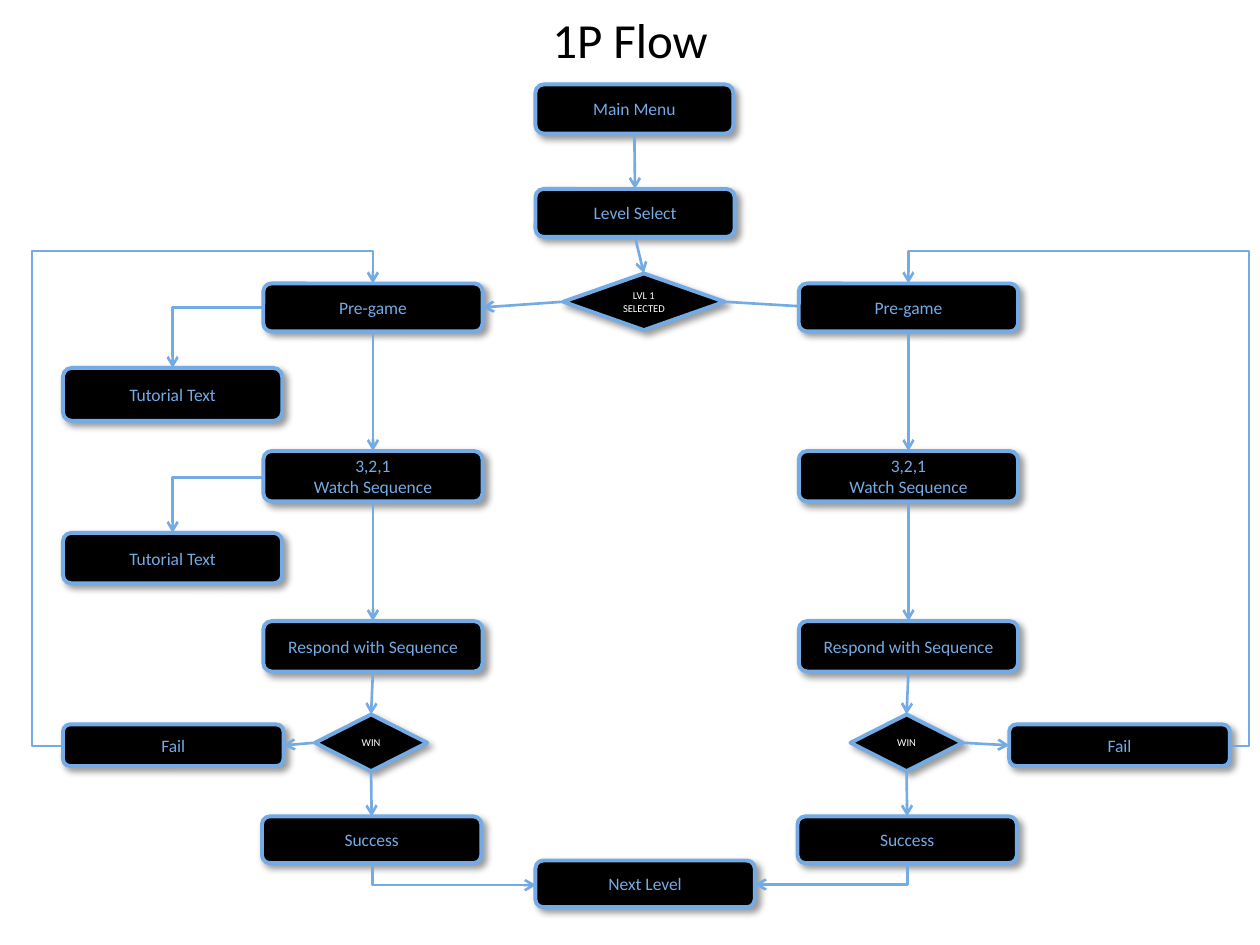
import lxml.etree
import pptx
import pptx.dml.color
import pptx.enum.shapes
import pptx.enum.text
import pptx.oxml.ns
import pptx.util

BLACK, BLUE, WHITE = "000000", "74ABE5", "FFFFFF"
ROUND = pptx.enum.shapes.MSO_SHAPE.ROUNDED_RECTANGLE
DIAMOND = pptx.enum.shapes.MSO_SHAPE.DIAMOND
STRAIGHT = pptx.enum.shapes.MSO_CONNECTOR.STRAIGHT
ELBOW = pptx.enum.shapes.MSO_CONNECTOR.ELBOW
TOP, LEFT, BOTTOM, RIGHT = range(4)
qn = pptx.oxml.ns.qn
rgb = pptx.dml.color.RGBColor.from_string

prs = pptx.Presentation()
prs.slide_width = pptx.util.Inches(10)
prs.slide_height = pptx.util.Inches(7.5)
col = prs.slide_width / 100
row = prs.slide_height / 75
s = prs.slides.add_slide(prs.slide_layouts[6])


def write(sp, text, size, color):
    tf = sp.text_frame
    frame = {"word_wrap": True, "vertical_anchor": pptx.enum.text.MSO_ANCHOR.MIDDLE}
    for key, value in frame.items():
        setattr(tf, key, value)
    for i, line in enumerate(text.split("\n")):
        p = tf.paragraphs[0] if i == 0 else tf.add_paragraph()
        p.alignment = pptx.enum.text.PP_ALIGN.CENTER
        r = p.add_run()
        r.text = line
        for key, value in {"name": "Calibri", "size": pptx.util.Pt(size)}.items():
            setattr(r.font, key, value)
        r.font.color.rgb = rgb(color)


def arrow(kind, x1, y1, x2, y2):
    c = s.shapes.add_connector(
        kind, int(x1 * col), int(y1 * row), int(x2 * col), int(y2 * row))
    c.line.color.rgb = rgb(BLUE)
    c.line.width = pptx.util.Pt(1.5)
    spPr = c._element.spPr
    lxml.etree.SubElement(spPr.find(qn("a:ln")), qn("a:tailEnd"), type="arrow")
    lxml.etree.SubElement(spPr, qn("a:effectLst"))
    return c


title = s.shapes.add_textbox(0, 0, prs.slide_width, int(6.2 * row))
write(title, "1P Flow", 28, BLACK)

center = [
    ("menu", ROUND, "Main Menu", 42.5, 6.7, 15.7, 3.9),
    ("select", ROUND, "Level Select", 42.5, 15, 15.8, 3.8),
    ("level", DIAMOND, "LVL 1\nSELECTED", 44.7, 21.7, 12.8, 4.5),
    ("next", ROUND, "Next Level", 42.5, 68.3, 17.4, 3.7),
]
sides = [
    ("tutorial 1", ROUND, "Tutorial Text", 5, 29.2, 17.4, 4.2),
    ("tutorial 2", ROUND, "Tutorial Text", 5, 42.3, 17.4, 4),
    ("fail L", ROUND, "Fail", 5, 57.5, 17.5, 3.3),
    ("fail R", ROUND, "Fail", 80.1, 57.5, 17.5, 3.3),
]
lane = [
    ("pregame", ROUND, "Pre-game", 20.9, 22.5, 17.4, 3.8),
    ("watch", ROUND, "3,2,1\nWatch Sequence", 20.9, 35.8, 17.4, 4),
    ("respond", ROUND, "Respond with Sequence", 20.9, 49.3, 17.4, 4),
    ("win", DIAMOND, "WIN", 25, 56.7, 8.9, 4.5),
    ("success", ROUND, "Success", 20.8, 64.8, 17.4, 3.7),
]
lanes = [(f"{name} {side}", kind, text, x + shift, y, w, h)
         for side, shift in (("L", 0), ("R", 42.5))
         for name, kind, text, x, y, w, h in lane]

boxes = {}
for name, kind, text, x, y, w, h in center + sides + lanes:
    if name == "tutorial 1":
        c = arrow(STRAIGHT, 57.5, 23.9, 65, 24.4)
        c.begin_connect(boxes["level"], RIGHT)
    sp = s.shapes.add_shape(kind, int(x * col), int(y * row), int(w * col), int(h * row))
    sp.fill.solid()
    sp.fill.fore_color.rgb = rgb(BLACK)
    sp.line.color.rgb = rgb(BLUE)
    sp.line.width = pptx.util.Pt(2.25)
    sp.shadow.inherit = False
    shadow = lxml.etree.SubElement(
        sp._element.spPr.find(qn("a:effectLst")), qn("a:outerShdw"),
        blurRad=str(pptx.util.Pt(4)), dist=str(pptx.util.Pt(3)),
        dir=str(45 * 60000), algn="tl", rotWithShape="0")
    tint = lxml.etree.SubElement(shadow, qn("a:srgbClr"), val=BLACK)
    lxml.etree.SubElement(tint, qn("a:alpha"), val="40000")
    write(sp, text, *((6, WHITE) if kind == DIAMOND else (10, BLUE)))
    boxes[name] = sp

links = [
    ("menu", BOTTOM, "select", TOP),
    ("select", BOTTOM, "level", TOP),
    ("level", LEFT, "pregame L", RIGHT),
    ("win L", LEFT, "fail L", RIGHT),
    ("win R", RIGHT, "fail R", LEFT),
]
steps = [item[0] for item in lane]
for side in "LR":
    for start, end in zip(steps, steps[1:]):
        links.append((f"{start} {side}", BOTTOM, f"{end} {side}", TOP))
for start, start_site, end, end_site in links:
    c = arrow(STRAIGHT, 0, 0, 1, 1)
    c.begin_connect(boxes[start], start_site)
    c.end_connect(boxes[end], end_site)

elbows = [
    (5, 22.5, 24.6, 36.7, 180, "H", (-0.1, 1.07)),
    (72.1, 22.5, 25.5, 36.7, 0, "HV", (-0.06, 1.07)),
    (35.2, 62.9, 1.7, 13, 270, "H", ()),
    (65.1, 63.3, 1.7, 12.1, 90, "", ()),
    (13.7, 24.4, 7.2, 4.8, 180, "V", ()),
    (13.7, 37.9, 7.2, 4.4, 180, "V", ()),
]
for x, y, w, h, turn, flips, bends in elbows:
    c = arrow(ELBOW, x, y, x + w, y + h)
    xfrm = c._element.spPr.find(qn("a:xfrm"))
    xfrm.set("rot", str(turn * 60000))
    for flip in flips:
        xfrm.set(f"flip{flip}", "1")
    geom = c._element.spPr.find(qn("a:prstGeom"))
    geom.set("prst", f"bentConnector{2 + len(bends)}")
    guides = geom.find(qn("a:avLst"))
    for i, bend in enumerate(bends, 1):
        lxml.etree.SubElement(
            guides, qn("a:gd"), name=f"adj{i}", fmla=f"val {round(bend * 100000)}")

prs.save("out.pptx")
